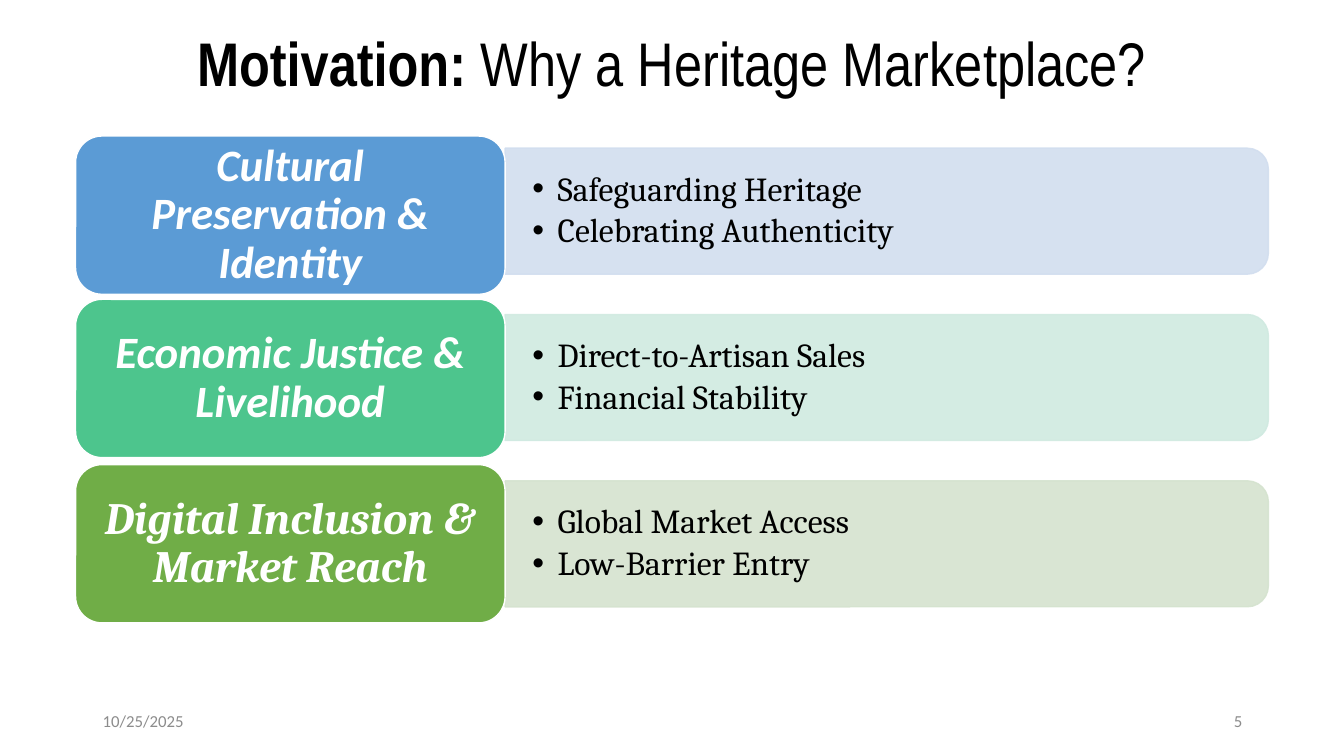
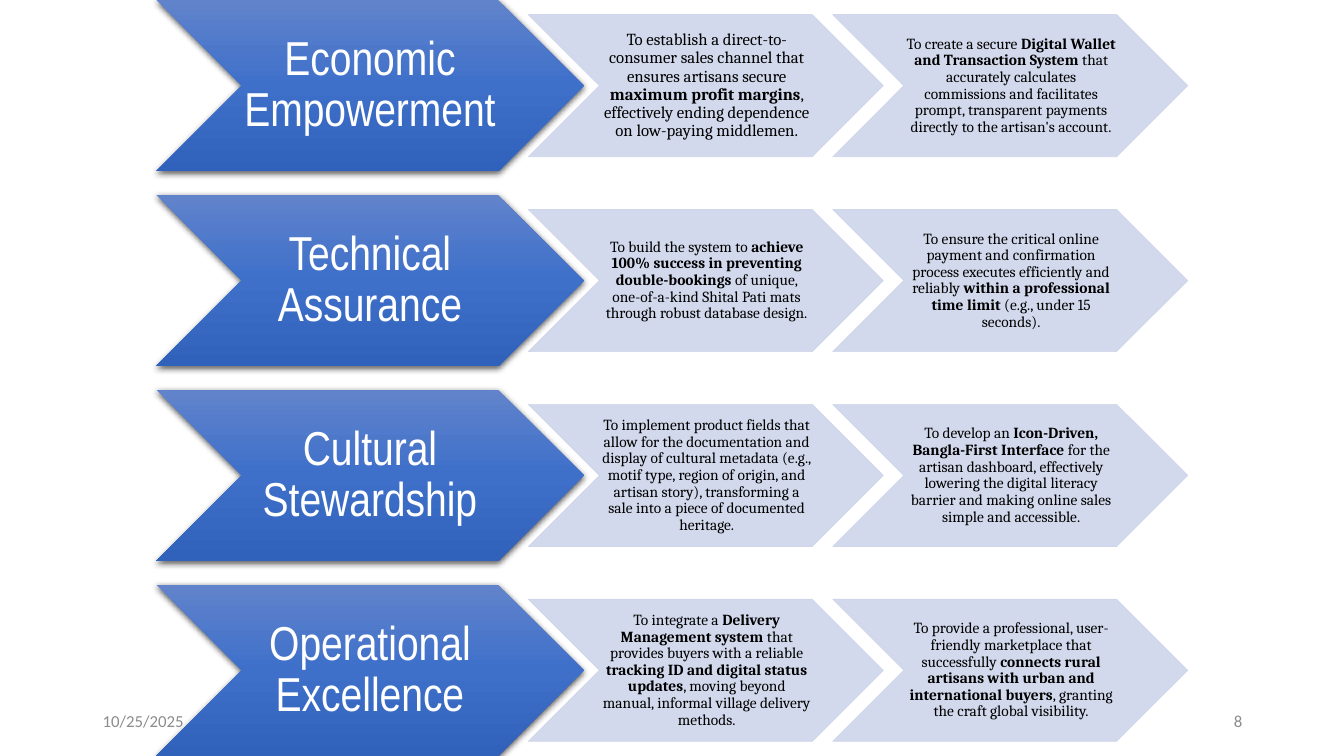
from lxml import etree
from pptx import Presentation
from pptx.dml.color import RGBColor
from pptx.enum.shapes import MSO_SHAPE
from pptx.enum.text import MSO_ANCHOR, MSO_AUTO_SIZE, PP_ALIGN
from pptx.oxml import parse_xml
from pptx.oxml.ns import nsdecls, qn
from pptx.util import Inches, Pt

LEFT, CENTER, RIGHT = PP_ALIGN.LEFT, PP_ALIGN.CENTER, PP_ALIGN.RIGHT
MIDDLE = MSO_ANCHOR.MIDDLE
CHEVRON, ROUNDED = MSO_SHAPE.CHEVRON, MSO_SHAPE.ROUNDED_RECTANGLE
ROUND_ONE_SIDE = MSO_SHAPE.ROUND_2_SAME_RECTANGLE
TITLE_ONLY, BLANK = 5, 6

SLIDE_WIDTH, SLIDE_HEIGHT = 13.33, 7.5
HEADING_FONT, LABEL_FONT, BODY_FONT = "Arial Narrow", "Calibri", "Cambria"
COLORS = {
    "black": "000000", "white": "FFFFFF", "footer": "8C8C8C",
    "blue": "5B9BD5", "blue_tint": "D2DEEF",
    "teal": "4DC58D", "teal_tint": "D0EAE1",
    "green": "70AD47", "green_tint": "D5E3CF",
    "goal_top": "6183CB", "goal_middle": "3E70CA", "goal_bottom": "3062BB",
    "detail": "CFD5EA",
}

# Content: text between ** marks is bold
DATE = "10/25/2025"
TITLE = "**Motivation:** Why a Heritage Marketplace?"
# label, label font, label top, colour, bullets
MOTIVATIONS = [
    ("Cultural Preservation & Identity", LABEL_FONT, 1.35, "blue",
     ["Safeguarding Heritage", "Celebrating Authenticity"]),
    ("Economic Justice & Livelihood", LABEL_FONT, 2.97, "teal",
     ["Direct-to-Artisan Sales", "Financial Stability"]),
    ("Digital Inclusion & Market Reach", BODY_FONT, 4.61, "green",
     ["Global Market Access", "Low-Barrier Entry"]),
]
# goal, then (detail, text size)
GOALS = [
    ("Economic Empowerment", [
        ("To establish a direct-to-consumer sales channel that ensures artisans "
         "secure **maximum profit margins**, effectively ending dependence on "
         "low-paying middlemen.", 12),
        ("To create a secure **Digital Wallet and Transaction System** that "
         "accurately calculates commissions and facilitates prompt, transparent "
         "payments directly to the artisan's account.", 11)]),
    ("Technical Assurance", [
        ("To build the system to **achieve 100% success in preventing "
         "double-bookings** of unique, one-of-a-kind Shital Pati mats through "
         "robust database design.", 11),
        ("To ensure the critical online payment and confirmation process executes "
         "efficiently and reliably **within a professional time limit** (e.g., "
         "under 15 seconds).", 11)]),
    ("Cultural Stewardship", [
        ("To implement product fields that allow for the documentation and display "
         "of cultural metadata (e.g., motif type, region of origin, and artisan "
         "story), transforming a sale into a piece of documented heritage.", 11),
        ("To develop an **Icon-Driven, Bangla-First Interface** for the artisan "
         "dashboard, effectively lowering the digital literacy barrier and making "
         "online sales simple and accessible.", 11)]),
    ("Operational Excellence", [
        ("To integrate a **Delivery Management system** that provides buyers with a "
         "reliable **tracking ID and digital status updates**, moving beyond "
         "manual, informal village delivery methods.", 11),
        ("To provide a professional, user-friendly marketplace that successfully "
         "**connects rural artisans with urban and international buyers**, "
         "granting the craft global visibility.", 11)]),
]


def color(name):
    return RGBColor.from_string(COLORS[name])


# Text
def add_bullet(paragraph):
    properties = paragraph._p.get_or_add_pPr()
    properties.set("marL", str(Inches(0.25)))
    properties.set("indent", str(-Inches(0.25)))
    etree.SubElement(properties, qn("a:buFont")).set("typeface", "Arial")
    etree.SubElement(properties, qn("a:buChar")).set("char", "•")


def write(shape, lines, size, font, ink="black", align=CENTER, italic=False,
          bullets=False, spacing=0.9, margins=(0.1, 0.05, 0.1, 0.05)):
    frame = shape.text_frame
    frame.word_wrap = True
    frame.auto_size = MSO_AUTO_SIZE.NONE
    frame.vertical_anchor = MIDDLE
    (frame.margin_left, frame.margin_top,
     frame.margin_right, frame.margin_bottom) = map(Inches, margins)
    for index, line in enumerate(lines):
        paragraph = frame.add_paragraph() if index else frame.paragraphs[0]
        if bullets:
            add_bullet(paragraph)
            paragraph.space_after = Pt(4)
        paragraph.alignment = align
        paragraph.line_spacing = spacing
        for part, text in enumerate(line.split("**")):
            if text:
                run = paragraph.add_run()
                run.text = text
                run.font.size, run.font.name = Pt(size), font
                run.font.bold, run.font.italic = part % 2 == 1, italic
                run.font.color.rgb = color(ink)


# Shapes
def add_text_box(slide, left, top, width, height):
    return slide.shapes.add_textbox(*map(Inches, (left, top, width, height)))


def add_shape(slide, kind, left, top, width, height):
    shape = slide.shapes.add_shape(kind, *map(Inches, (left, top, width, height)))
    shape.shadow.inherit = False
    return shape


def paint(shape, fill, line, line_width, opacity=100):
    shape.fill.solid()
    shape.fill.fore_color.rgb = color(fill)
    shape.line.color.rgb = color(line)
    shape.line.width = Pt(line_width)
    if opacity < 100:
        for element in shape._element.spPr.iter(qn("a:srgbClr")):
            etree.SubElement(element, qn("a:alpha")).set("val", str(opacity * 1000))


def paint_goal(shape):
    shape.line.fill.background()
    stops = "".join(
        f'<a:gs pos="{position}"><a:srgbClr val="{COLORS[name]}"/></a:gs>'
        for position, name in ((0, "goal_top"), (50000, "goal_middle"),
                               (100000, "goal_bottom")))
    properties = shape._element.spPr
    properties.find(qn("a:prstGeom")).addnext(parse_xml(
        f'<a:gradFill {nsdecls("a")} rotWithShape="1"><a:gsLst>{stops}</a:gsLst>'
        '<a:lin ang="5400000" scaled="0"/></a:gradFill>'))
    properties.find(qn("a:effectLst")).append(parse_xml(
        f'<a:outerShdw {nsdecls("a")} blurRad="{Pt(4.5)}" dist="{Pt(1.5)}" '
        'dir="5400000" algn="ctr" rotWithShape="0">'
        f'<a:srgbClr val="{COLORS["black"]}"><a:alpha val="63000"/></a:srgbClr>'
        '</a:outerShdw>'))


def add_slide(presentation, layout, number):
    slide = presentation.slides.add_slide(presentation.slide_layouts[layout])
    for text, left, align in ((DATE, 0.92, LEFT), (number, 9.42, RIGHT)):
        write(add_text_box(slide, left, 6.95, 3, 0.4), [text], 12, LABEL_FONT,
              ink="footer", align=align, spacing=1)
    return slide


# Slides
def build_motivation(presentation):
    slide = add_slide(presentation, TITLE_ONLY, "5")
    title = slide.shapes.title
    title.left, title.top = 0, 0
    title.width, title.height = Inches(SLIDE_WIDTH), Inches(1.32)
    write(title, [TITLE], 44, HEADING_FONT)

    label_left, label_width, label_height = 0.75, 4.26, 1.57
    bar_left = label_left + label_width
    bar_top, bar_pitch, bar_width, bar_height = 1.47, 1.65, 7.57, 1.25
    for row, (label, font, label_top, hue, bullets) in enumerate(MOTIVATIONS):
        top = bar_top + row * bar_pitch
        # The bar is a tall shape turned on its side about its centre
        turn = (bar_width - bar_height) / 2
        bar = add_shape(slide, ROUND_ONE_SIDE, bar_left + turn, top - turn,
                        bar_height, bar_width)
        bar.rotation = 90
        paint(bar, f"{hue}_tint", f"{hue}_tint", 1, opacity=90)
        write(add_text_box(slide, bar_left, top + 0.06, 7.51, 1.13), bullets, 24,
              BODY_FONT, align=LEFT, bullets=True, margins=(0.27, 0.14, 0.27, 0.14))
        box = add_shape(slide, ROUNDED, label_left, label_top,
                        label_width, label_height)
        paint(box, hue, "white", 1)
        write(box, [f"**{label}**"], 32, font, ink="white", italic=True,
              margins=(0.13, 0.07, 0.13, 0.07))


def build_goals(presentation):
    slide = add_slide(presentation, BLANK, "8")
    goal_height, detail_height = 1.7, 1.41
    pitch = (SLIDE_HEIGHT - goal_height) / (len(GOALS) - 1)
    for row, (goal, details) in enumerate(GOALS):
        top = row * pitch
        arrow = add_shape(slide, CHEVRON, 1.55, top, 4.24, goal_height)
        paint_goal(arrow)
        # No side margins, so that the longest word fits on one line
        write(arrow, [goal], 34, HEADING_FONT, ink="white",
              margins=(0, 0.02, 0, 0.02))
        detail_top = top + (goal_height - detail_height) / 2
        for column, (text, size) in enumerate(details):
            arrow = add_shape(slide, CHEVRON, 5.24 + column * 3.02, detail_top,
                              3.52, detail_height)
            paint(arrow, "detail", "detail", 0.5, opacity=90)
            write(arrow, [text], size, BODY_FONT, margins=(0.02, 0.01, 0, 0.01))


def main():
    presentation = Presentation()
    presentation.slide_width = Inches(SLIDE_WIDTH)
    presentation.slide_height = Inches(SLIDE_HEIGHT)
    build_motivation(presentation)
    build_goals(presentation)
    presentation.save("out.pptx")


if __name__ == "__main__":
    main()
